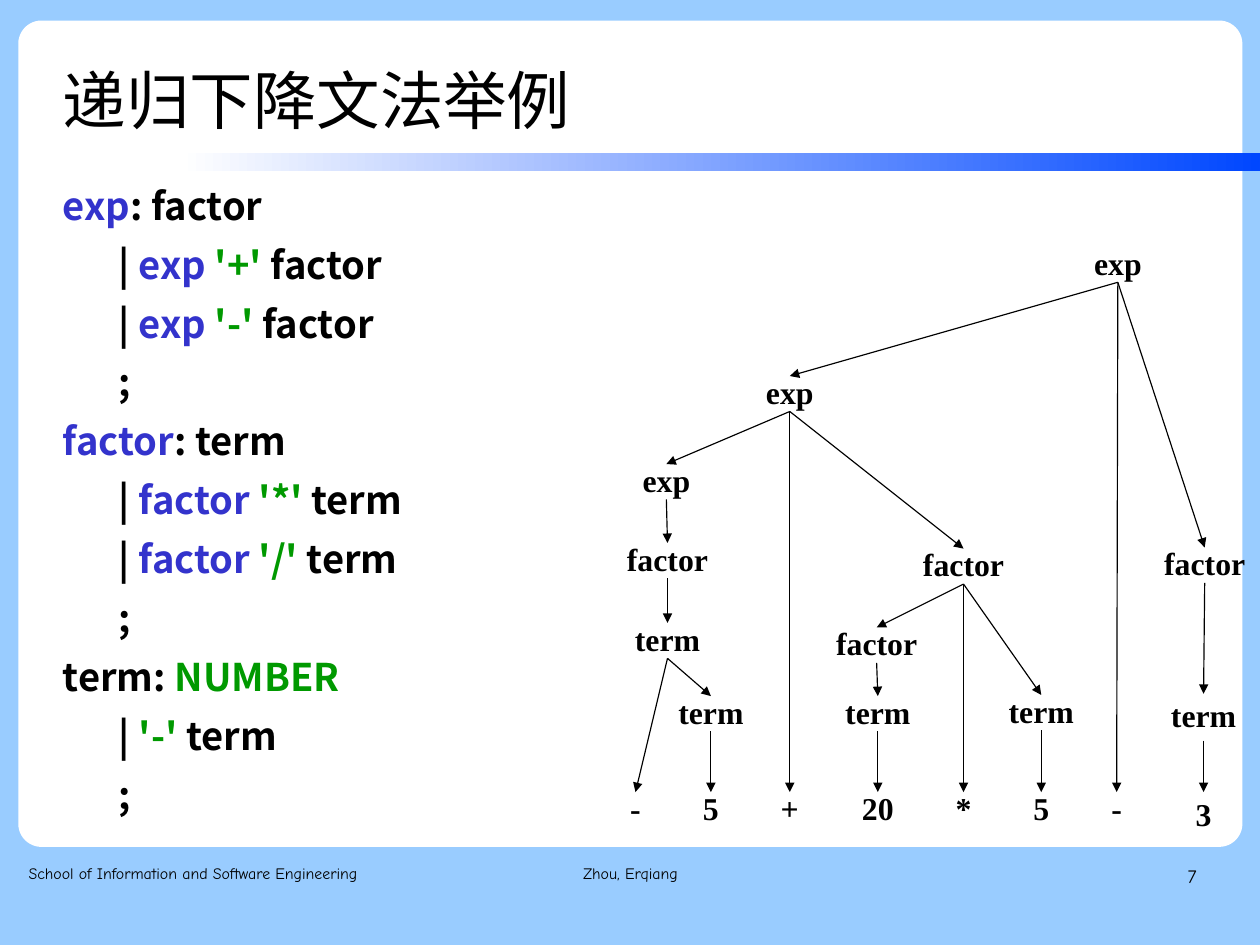
from lxml import etree
from pptx import Presentation
from pptx.dml.color import RGBColor
from pptx.enum.shapes import MSO_CONNECTOR, MSO_SHAPE
from pptx.enum.text import MSO_ANCHOR, MSO_AUTO_SIZE, PP_ALIGN
from pptx.oxml.ns import qn
from pptx.util import Inches, Pt

SKY = RGBColor(0x99, 0xCC, 0xFF)
WHITE = RGBColor(0xFF, 0xFF, 0xFF)
BLACK = RGBColor(0, 0, 0)
BAR_BLUE = RGBColor(0x00, 0x47, 0xFF)
RULE_BLUE = RGBColor(0x33, 0x33, 0xCC)
TOKEN_GREEN = RGBColor(0x00, 0x99, 0x00)

CJK_FONT = "Noto Sans CJK SC"
FOOTER_FONT = "Comic Neue"
TREE_FONT = "Times New Roman"

CM_PER_INCH = 2.54

# Grammar lines: (indented, [(text, colour), ...])
GRAMMAR = [
    (False, [("exp", RULE_BLUE), (": factor", BLACK)]),
    (True, [("| ", BLACK), ("exp ", RULE_BLUE), ("'+' ", TOKEN_GREEN), ("factor", BLACK)]),
    (True, [("| ", BLACK), ("exp ", RULE_BLUE), ("'-' ", TOKEN_GREEN), ("factor", BLACK)]),
    (True, [(";", BLACK)]),
    (False, [("factor", RULE_BLUE), (": term", BLACK)]),
    (True, [("| ", BLACK), ("factor ", RULE_BLUE), ("'*'", TOKEN_GREEN), (" term", BLACK)]),
    (True, [("| ", BLACK), ("factor ", RULE_BLUE), ("'/'", TOKEN_GREEN), (" term", BLACK)]),
    (True, [(";", BLACK)]),
    (False, [("term: ", BLACK), ("NUMBER", TOKEN_GREEN)]),
    (True, [("| ", BLACK), ("'-'", TOKEN_GREEN), (" term", BLACK)]),
    (True, [(";", BLACK)]),
]

# Parse tree nodes: (label, centre x, top, vertical padding, children)
LEAF_TOP = 6.93
NODE_H = 0.31
NODE_W = {"exp": 0.45, "factor": 0.75, "term": 0.61, "20": 0.31}
LEAF_W = 0.18


def leaf(label, x, pad=0):
    return (label, x, LEAF_TOP, pad, [])


PARSE_TREE = ("exp", 9.78, 2.16, 0, [
    ("exp", 6.91, 3.29, 0, [
        ("exp", 5.83, 4.06, 0, [
            ("factor", 5.84, 4.75, 0, [
                ("term", 5.84, 5.45, 0, [
                    leaf("-", 5.56),
                    ("term", 6.22, 6.09, 0, [leaf("5", 6.22)]),
                ]),
            ]),
        ]),
        leaf("+", 6.91),
        ("factor", 8.43, 4.8, 0, [
            ("factor", 7.67, 5.49, 0, [
                ("term", 7.68, 6.09, 0, [leaf("20", 7.68)]),
            ]),
            leaf("*", 8.43),
            ("term", 9.11, 6.08, 0, [leaf("5", 9.11)]),
        ]),
    ]),
    leaf("-", 9.77),
    ("factor", 10.54, 4.79, 0, [
        ("term", 10.53, 6.07, 0.05, [leaf("3", 10.53, 0.05)]),
    ]),
])


def add_panel(slide, shape_type, x, y, w, h):
    sp = slide.shapes.add_shape(shape_type, Inches(x), Inches(y), Inches(w), Inches(h))
    sp.shadow.inherit = False
    sp.line.fill.background()
    return sp


def add_frame(slide, x, y, w, h):
    """Add a wrapping text box without insets and return its text frame."""
    tf = slide.shapes.add_textbox(Inches(x), Inches(y), Inches(w), Inches(h)).text_frame
    tf.word_wrap = True
    tf.margin_left = tf.margin_right = tf.margin_top = tf.margin_bottom = 0
    return tf


def style(p, font, size, spacing, align=PP_ALIGN.LEFT, bold=False):
    p.font.name, p.font.size, p.font.bold = font, Pt(size), bold
    p.font.color.rgb = BLACK
    p.line_spacing = spacing
    p.alignment = align


def add_label(slide, text, x, y, w, h, font, size, spacing, align=PP_ALIGN.LEFT, bold=False):
    tf = add_frame(slide, x, y, w, h)
    p = tf.paragraphs[0]
    p.text = text
    style(p, font, size, spacing, align, bold)
    return tf


def add_grammar(slide):
    tf = add_frame(slide, 0.55, 1.65, 3.88, 5.49)
    tf.margin_top = Inches(0.02)
    for i, (indented, parts) in enumerate(GRAMMAR):
        p = tf.add_paragraph() if i else tf.paragraphs[0]
        style(p, CJK_FONT, 24, 0.8, bold=True)
        p.space_after = Pt(14.1)
        if indented:
            p._p.get_or_add_pPr().set("marL", str(Inches(0.49)))
        for text, colour in parts:
            r = p.add_run()
            r.text = text
            r.font.color.rgb = colour


def add_arrow(slide, x1, y1, x2, y2):
    cn = slide.shapes.add_connector(
        MSO_CONNECTOR.STRAIGHT, Inches(x1), Inches(y1), Inches(x2), Inches(y2))
    cn.line.color.rgb = BLACK
    cn.line.width = Pt(0.75)
    etree.SubElement(cn.line._get_or_add_ln(), qn("a:tailEnd"), type="triangle")
    etree.SubElement(cn._element.spPr, qn("a:effectLst"))


def add_tree(slide, node):
    label, x, top, pad, children = node
    w = NODE_W.get(label, LEAF_W)
    h = NODE_H + 2 * pad
    tf = add_label(slide, label, x - w / 2, top, w, h, TREE_FONT, 20, 0.93,
                   PP_ALIGN.CENTER, bold=True)
    tf.margin_top = tf.margin_bottom = Inches(pad)
    tf.word_wrap = False
    tf.auto_size = MSO_AUTO_SIZE.SHAPE_TO_FIT_TEXT
    for child in children:
        add_arrow(slide, x, top + h, child[1], child[2])
        add_tree(slide, child)


def main():
    prs = Presentation()
    prs.slide_width = Inches(28 / CM_PER_INCH)
    prs.slide_height = Inches(21 / CM_PER_INCH)
    slide = prs.slides.add_slide(prs.slide_layouts[6])

    # Background, white panel and gradient bar
    slide.background.fill.solid()
    slide.background.fill.fore_color.rgb = SKY
    panel = add_panel(slide, MSO_SHAPE.ROUNDED_RECTANGLE, 0.16, 0.18, 10.71, 7.23)
    panel.adjustments[0] = 0.028
    panel.fill.solid()
    panel.fill.fore_color.rgb = WHITE
    bar = add_panel(slide, MSO_SHAPE.RECTANGLE, 1.57, 1.34, 9.45, 0.16)
    bar.fill.gradient()
    bar.fill.gradient_angle = 0
    for stop, colour in zip(bar.fill.gradient_stops, (WHITE, BAR_BLUE)):
        stop.color.rgb = colour

    # Title and grammar
    title = add_label(slide, "递归下降文法举例", 0.55, 0.33, 8.58, 1.01, "Arial", 40, 1.1)
    title.vertical_anchor = MSO_ANCHOR.MIDDLE
    add_grammar(slide)

    # Parse tree
    add_tree(slide, PARSE_TREE)

    # Footer
    add_label(slide, "School of Information and Software Engineering",
              0.25, 7.53, 3.29, 0.57, FOOTER_FONT, 10, 1.16)
    add_label(slide, "Zhou, Erqiang", 3.77, 7.53, 3.49, 0.57,
              FOOTER_FONT, 10, 1.16, PP_ALIGN.CENTER)
    add_label(slide, "7", 7.9, 7.53, 2.57, 0.57, FOOTER_FONT, 12, 1.16, PP_ALIGN.RIGHT)

    prs.save("out.pptx")


if __name__ == "__main__":
    main()
